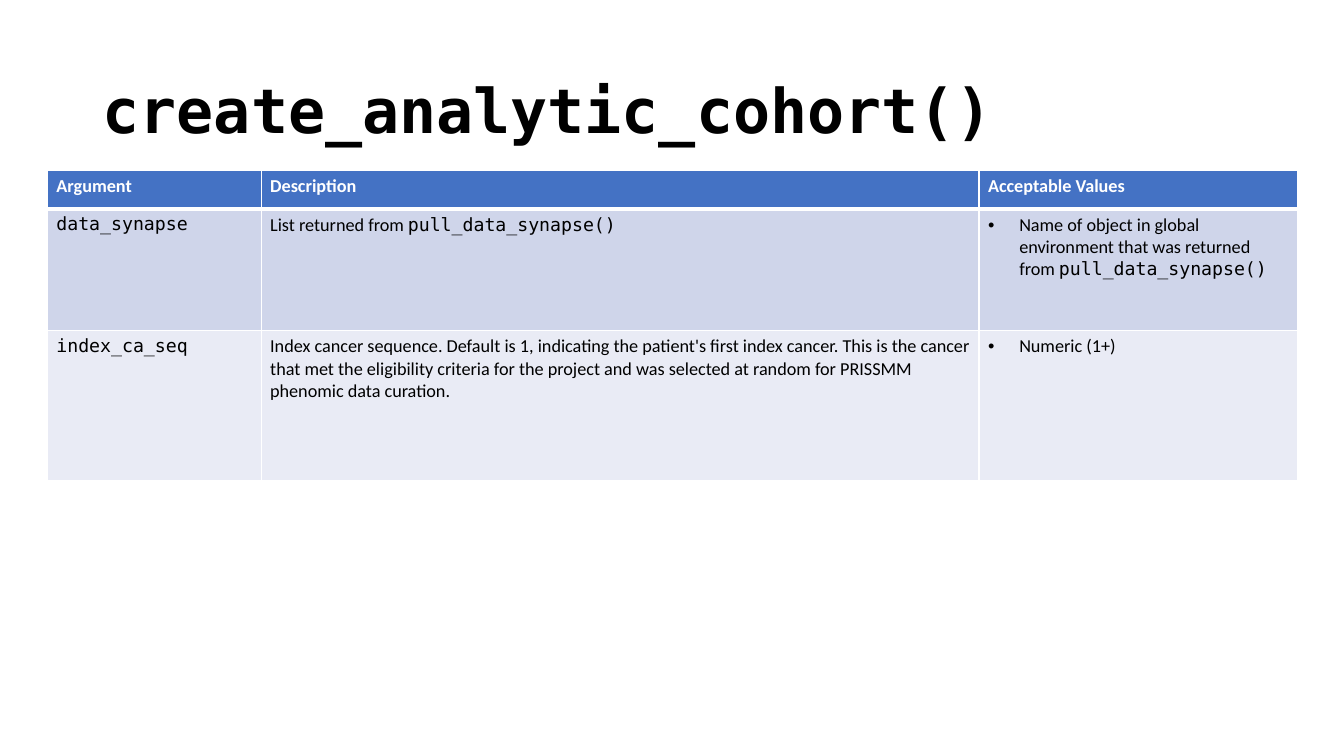
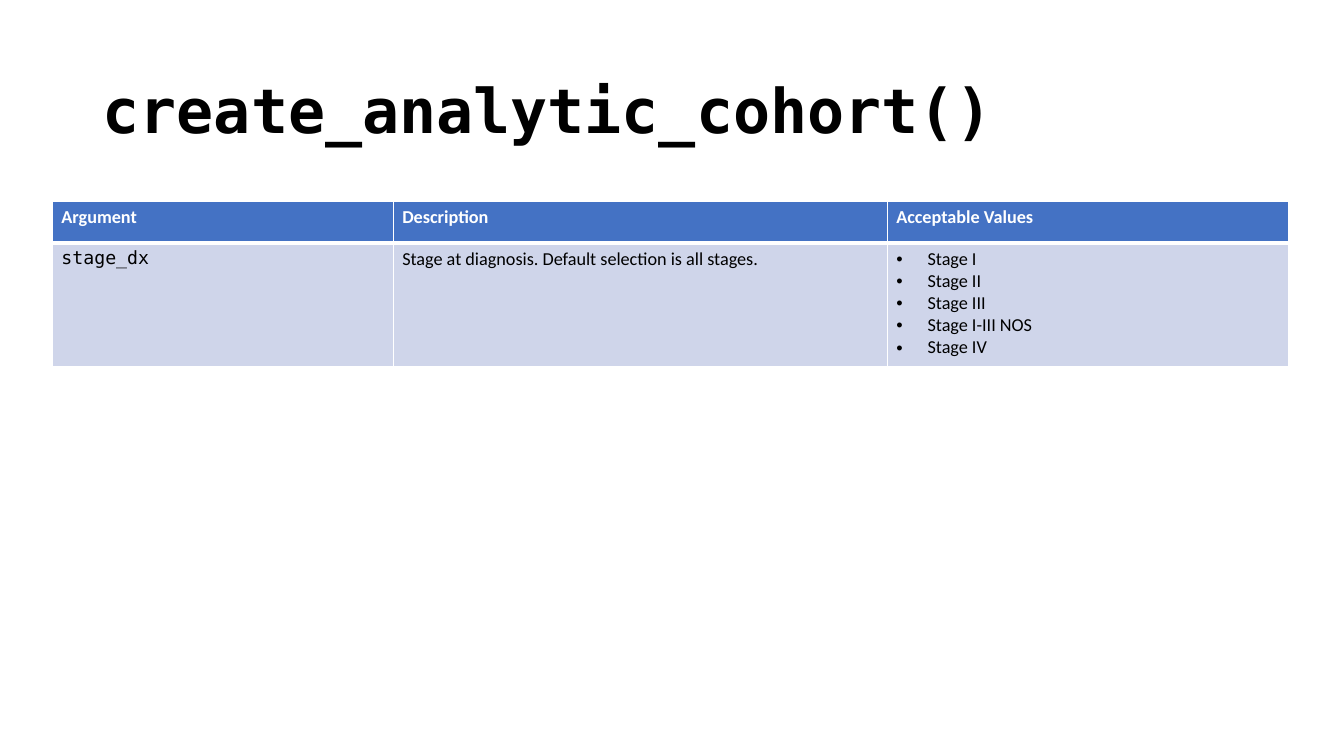
"""Build two slides that document the arguments of create_analytic_cohort()."""

from dataclasses import dataclass

from lxml.etree import SubElement
from pptx import Presentation
from pptx.dml.color import RGBColor
from pptx.enum.text import MSO_ANCHOR
from pptx.oxml.ns import qn
from pptx.util import Inches, Pt

WHITE = RGBColor(0xFF, 0xFF, 0xFF)
BLACK = RGBColor(0x00, 0x00, 0x00)
HEADER_BLUE = RGBColor(0x44, 0x72, 0xC4)
BAND_COLORS = (RGBColor(0xCF, 0xD5, 0xEA), RGBColor(0xE9, 0xEB, 0xF5))

TEXT_FONT = "Calibri"
CODE_FONT = "DejaVu Sans Mono"
TITLE = "create_analytic_cohort()"
HEADINGS = ("Argument", "Description", "Acceptable Values")
BULLET_INDENT = Inches(0.31)
THIN = Pt(1)
THICK = Pt(3)

TITLE_FORMAT = {"name": CODE_FONT, "size": Pt(44), "bold": True}
HEADER_FORMAT = {"name": TEXT_FONT, "size": Pt(13), "bold": True}
BODY_FORMAT = {"name": TEXT_FONT, "size": Pt(13), "bold": False}
CODE_FORMAT = BODY_FORMAT | {"name": CODE_FONT}
CELL_MARGINS = {
    "margin_left": Inches(0.09),
    "margin_right": Inches(0.09),
    "margin_top": Inches(0.05),
    "margin_bottom": Inches(0.05),
}


@dataclass(frozen=True)
class Phrase:
    """A stretch of plain text followed by optional code."""

    text: str
    code: str = ""


@dataclass(frozen=True)
class Argument:
    """One documented function argument."""

    name: str
    description: Phrase
    values: tuple[Phrase, ...]


@dataclass(frozen=True)
class ArgumentTable:
    """The geometry and the rows of one argument table."""

    left: float
    top: float
    widths: tuple[float, ...]
    heights: tuple[float, ...]
    arguments: tuple[Argument, ...]


TABLES = (
    ArgumentTable(
        0.47, 1.69, (2.12, 7.12, 3.16), (0.38, 1.21, 1.49),
        (
            Argument(
                "data_synapse",
                Phrase("List returned from ", "pull_data_synapse()"),
                (Phrase("Name of object in global environment that was returned from ",
                        "pull_data_synapse()"),),
            ),
            Argument(
                "index_ca_seq",
                Phrase("Index cancer sequence. Default is 1, indicating the patient's first "
                       "index cancer. This is the cancer that met the eligibility criteria for "
                       "the project and was selected at random for PRISSMM phenomic data "
                       "curation."),
                (Phrase("Numeric (1+)"),),
            ),
        ),
    ),
    ArgumentTable(
        0.52, 2, (3.38, 4.9, 3.98), (0.41, 1.23),
        (
            Argument(
                "stage_dx",
                Phrase("Stage at diagnosis. Default selection is all stages."),
                tuple(Phrase(f"Stage {stage}") for stage in ("I", "II", "III", "I-III NOS", "IV")),
            ),
        ),
    ),
)


def add_run(paragraph, text: str, font_format: dict, color: RGBColor) -> None:
    """Append a formatted run to a paragraph."""
    run = paragraph.add_run()
    run.text = text
    for attribute, value in font_format.items():
        setattr(run.font, attribute, value)
    run.font.color.rgb = color


def add_phrase(paragraph, phrase: Phrase) -> None:
    """Append the plain and code parts of a phrase."""
    for text, font_format in ((phrase.text, BODY_FORMAT), (phrase.code, CODE_FORMAT)):
        if text:
            add_run(paragraph, text, font_format, BLACK)


def add_bullet(paragraph) -> None:
    """Give a paragraph a hanging bullet."""
    properties = paragraph._p.get_or_add_pPr()
    properties.set("marL", str(BULLET_INDENT))
    properties.set("indent", str(-BULLET_INDENT))
    SubElement(properties, qn("a:buFont"), typeface="Arial")
    SubElement(properties, qn("a:buChar"), char="•")


def style_cell(cell, fill: RGBColor, top: int = THIN, bottom: int = THIN) -> None:
    """Set the margins, white borders and fill of a cell."""
    for attribute, value in CELL_MARGINS.items():
        setattr(cell, attribute, value)
    properties = cell._tc.get_or_add_tcPr()
    for side, width in (("L", THIN), ("R", THIN), ("T", top), ("B", bottom)):
        line = SubElement(properties, qn(f"a:ln{side}"), w=str(width))
        solid = SubElement(line, qn("a:solidFill"))
        SubElement(solid, qn("a:srgbClr"), val=str(WHITE))
    cell.fill.solid()
    cell.fill.fore_color.rgb = fill


def add_title(slide) -> None:
    """Add the function name as the slide title."""
    box = slide.shapes.add_textbox(Inches(0.92), Inches(0.4), Inches(11.5), Inches(1.45))
    frame = box.text_frame
    frame.word_wrap = True
    frame.vertical_anchor = MSO_ANCHOR.MIDDLE
    paragraph = frame.paragraphs[0]
    paragraph.line_spacing = 0.9
    add_run(paragraph, TITLE, TITLE_FORMAT, BLACK)


def fill_argument_row(cells, argument: Argument) -> None:
    """Write one argument into the cells of its row."""
    name_cell, description_cell, values_cell = cells
    add_run(name_cell.text_frame.paragraphs[0], argument.name, CODE_FORMAT, BLACK)
    add_phrase(description_cell.text_frame.paragraphs[0], argument.description)
    frame = values_cell.text_frame
    for index, value in enumerate(argument.values):
        paragraph = frame.add_paragraph() if index else frame.paragraphs[0]
        add_bullet(paragraph)
        add_phrase(paragraph, value)


def add_argument_table(slide, content: ArgumentTable) -> None:
    """Add a table with a header and one banded row per argument."""
    table = slide.shapes.add_table(
        len(content.heights), len(content.widths),
        Inches(content.left), Inches(content.top),
        Inches(sum(content.widths)), Inches(sum(content.heights)),
    ).table
    for column, width in zip(table.columns, content.widths):
        column.width = Inches(width)
    for row, height in zip(table.rows, content.heights):
        row.height = Inches(height)
    for cell, heading in zip(table.rows[0].cells, HEADINGS):
        style_cell(cell, HEADER_BLUE, bottom=THICK)
        add_run(cell.text_frame.paragraphs[0], heading, HEADER_FORMAT, WHITE)
    for index, argument in enumerate(content.arguments):
        cells = tuple(table.rows[index + 1].cells)
        for cell in cells:
            style_cell(cell, BAND_COLORS[index % 2], top=THIN if index else THICK)
        fill_argument_row(cells, argument)


def main() -> None:
    """Build and save the presentation."""
    presentation = Presentation()
    presentation.slide_width = Inches(13.33)
    presentation.slide_height = Inches(7.5)
    blank_layout = presentation.slide_layouts[6]
    for content in TABLES:
        slide = presentation.slides.add_slide(blank_layout)
        add_title(slide)
        add_argument_table(slide, content)
    presentation.save("out.pptx")


if __name__ == "__main__":
    main()
